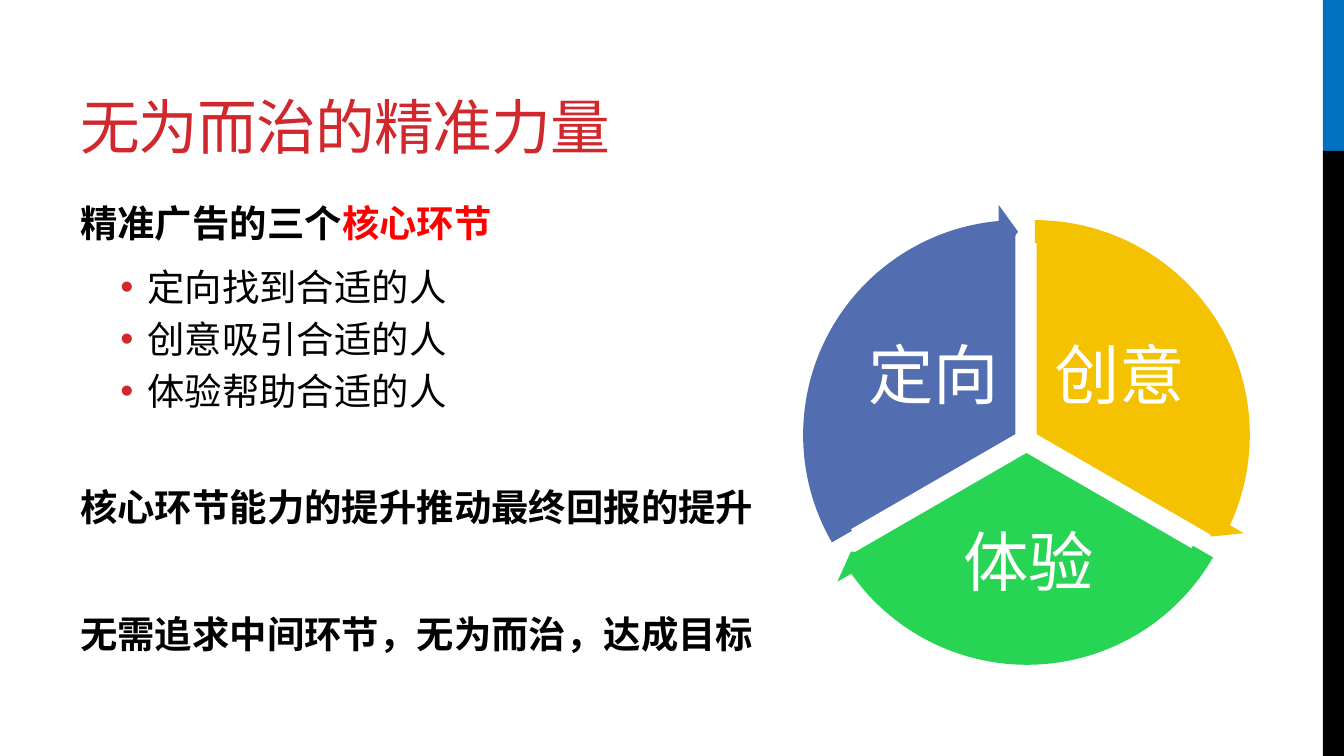
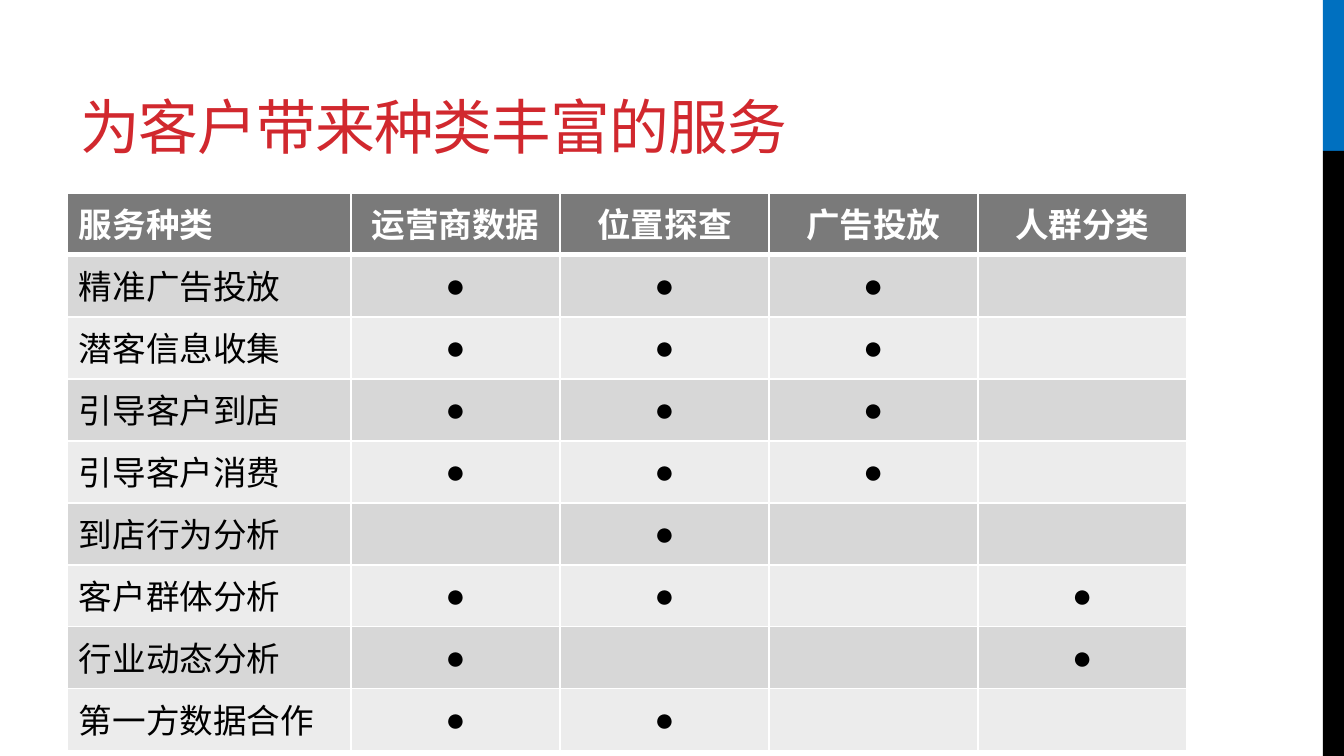
import lxml.etree
import pptx
import pptx.dml.color
import pptx.enum.shapes
import pptx.enum.text
import pptx.oxml.ns
import pptx.util

PX = 914400 / 134.4
SLIDE_SIZE = (1344, 756)
COLORS = {
    "blue": "0070C0", "black": "000000", "white": "FFFFFF", "title": "D1282E",
    "red": "FF0000", "yellow": "F5C201", "green": "28D453", "indigo": "526DB0",
    "header": "7A7A7A", "odd": "D7D7D7", "even": "ECECEC",
}
SHAPES = pptx.enum.shapes.MSO_SHAPE
ANCHOR = pptx.enum.text.MSO_ANCHOR
ALIGN = pptx.enum.text.PP_ALIGN

# Shared by both slides
BANDS = [((1323, 0, 21, 151), "blue"), ((1323, 151, 21, 605), "black")]
TITLE_BOX = (67, 17, 851, 151)
TITLE_FONT = {"name": "Montserrat", "size": 32, "color": "title"}

# Slide 1
CORE_TITLE = "无为而治的精准力量"
BODY_BOX = (67, 194, 1119, 482)
BODY_FONT = {"name": "Arial", "size": 20, "color": "black"}
HEADING = {"space_before": 2, "space_after": 6}
STATEMENT = {"space_before": 38, "space_after": 6}
BULLET = {"space_before": 4, "space_after": 0, "level": 1}
BODY = [
    (HEADING, [("精准广告的三个", "black"), ("核心环节", "red")]),
    (BULLET, [("定向找到合适的人", "black")]),
    (BULLET, [("创意吸引合适的人", "black")]),
    (BULLET, [("体验帮助合适的人", "black")]),
    (STATEMENT, [("核心环节能力的提升推动最终回报的提升", "black")]),
    (STATEMENT, [("无需追求中间环节，无为而治，达成目标", "black")]),
]
PIE_SIZE, ARROW_SIZE = 411, 462
LABEL_FONT = {"name": "Arial", "size": 35, "color": "white"}
# label, color, pie corner, pie angles, arrow tip and tail angles, label box
SECTORS = [
    ("创意", "yellow", (829, 230), (162, 18), (14.72, 161.99), (1047, 317, 146, 122)),
    ("体验", "green", (821, 245), (18, 90), (86.72, 18), (919, 511, 220, 108)),
    ("定向", "indigo", (812, 230), (90, 162), (158.73, 90), (861, 317, 146, 122)),
]

# Slide 2
SERVICE_TITLE = "为客户带来种类丰富的服务"
TABLE_CORNER = (67, 193)
COLUMN_WIDTHS = (284, 209, 209, 209, 209)
ROW_HEIGHT = 62
HEADERS = ("服务种类", "运营商数据", "位置探查", "广告投放", "人群分类")
# service, columns that carry a dot
SERVICES = [
    ("精准广告投放", (1, 2, 3)),
    ("潜客信息收集", (1, 2, 3)),
    ("引导客户到店", (1, 2, 3)),
    ("引导客户消费", (1, 2, 3)),
    ("到店行为分析", (2,)),
    ("客户群体分析", (1, 2, 4)),
    ("行业动态分析", (1, 4)),
    ("第一方数据合作", (1, 2)),
]


def px(*lengths):
    return [pptx.util.Emu(round(length * PX)) for length in lengths]


def rgb(name):
    return pptx.dml.color.RGBColor.from_string(COLORS[name])


def set_all(target, values):
    for name, value in values.items():
        setattr(target, name, value)


def margins(horizontal, vertical):
    across, down = px(horizontal, vertical)
    return {"margin_left": across, "margin_right": across,
            "margin_top": down, "margin_bottom": down}


def add_xml(parent, tag, **attributes):
    return lxml.etree.SubElement(parent, pptx.oxml.ns.qn(tag), attributes)


def add_run(paragraph, text, name, size, color, bold=False):
    run = paragraph.add_run()
    run.text = text
    set_all(run.font, {"name": name, "size": pptx.util.Pt(size), "bold": bold})
    run.font.color.rgb = rgb(color)
    return run


def add_text_frame(slide, box, anchor, **extra):
    frame = slide.shapes.add_textbox(*px(*box)).text_frame
    set_all(frame, {"word_wrap": True, "vertical_anchor": anchor, **extra})
    return frame


def add_filled_shape(slide, kind, box, color, adjustments=(), outline=None):
    shape = slide.shapes.add_shape(kind, *px(*box))
    shape.shadow.inherit = False
    shape.fill.solid()
    shape.fill.fore_color.rgb = rgb(color)
    for index, value in enumerate(adjustments):
        shape.adjustments[index] = value
    if outline:
        shape.line.color.rgb = rgb(outline)
        shape.line.width = pptx.util.Pt(2.25)
    else:
        shape.line.fill.background()


def add_slide(presentation, title):
    """Add a blank slide with the side bands and the title."""
    slide = presentation.slides.add_slide(presentation.slide_layouts[6])
    for box, color in BANDS:
        add_filled_shape(slide, SHAPES.RECTANGLE, box, color)
    frame = add_text_frame(slide, TITLE_BOX, ANCHOR.BOTTOM)
    run = add_run(frame.paragraphs[0], title, **TITLE_FONT)
    run.font._element.set("spc", "-55")
    return slide


def add_bullet(paragraph):
    properties = paragraph._p.get_or_add_pPr()
    properties.set("marL", "457200")
    properties.set("indent", "-182880")
    add_xml(add_xml(properties, "a:buClr"), "a:srgbClr", val=COLORS["title"])
    add_xml(properties, "a:buFont", typeface="Arial")
    add_xml(properties, "a:buChar", char="•")


def add_body(slide):
    frame = add_text_frame(slide, BODY_BOX, ANCHOR.TOP)
    for index, (style, runs) in enumerate(BODY):
        paragraph = frame.add_paragraph() if index else frame.paragraphs[0]
        is_bullet = "level" in style
        set_all(paragraph, {
            "line_spacing": pptx.util.Pt(24),
            "space_before": pptx.util.Pt(style["space_before"]),
            "space_after": pptx.util.Pt(style["space_after"]),
            "level": style.get("level", 0),
        })
        if is_bullet:
            add_bullet(paragraph)
        for text, color in runs:
            add_run(paragraph, text, **{**BODY_FONT, "color": color}, bold=not is_bullet)


def add_cycle(slide):
    for label, color, (left, top), angles, arrow_angles, label_box in SECTORS:
        add_filled_shape(slide, SHAPES.PIE, (left, top, PIE_SIZE, PIE_SIZE),
                         color, angles, "white")
        frame = add_text_frame(slide, label_box, ANCHOR.MIDDLE, **margins(7, 7))
        paragraph = frame.paragraphs[0]
        set_all(paragraph, {"alignment": ALIGN.CENTER, "line_spacing": 0.9})
        add_run(paragraph, label, **LABEL_FONT)
    for label, color, (left, top), angles, arrow_angles, label_box in SECTORS:
        add_filled_shape(slide, SHAPES.CIRCULAR_ARROW,
                         (left - 25, top - 26, ARROW_SIZE, ARROW_SIZE),
                         color, (0.05, 3.28, *arrow_angles, 0.06))


def set_borders(cell, widths):
    properties = cell._tc.get_or_add_tcPr()
    for side, width in widths.items():
        line = add_xml(properties, f"a:ln{side}", w=str(pptx.util.Pt(width)))
        add_xml(add_xml(line, "a:solidFill"), "a:srgbClr", val=COLORS["white"])


def add_service_table(slide):
    rows = [HEADERS] + [
        (service, *("●" if column in dots else "" for column in range(1, len(HEADERS))))
        for service, dots in SERVICES
    ]
    size = (sum(COLUMN_WIDTHS), ROW_HEIGHT * len(rows))
    table = slide.shapes.add_table(
        len(rows), len(HEADERS), *px(*TABLE_CORNER, *size)).table
    for column, width in zip(table.columns, px(*COLUMN_WIDTHS)):
        column.width = width
    for row_index, texts in enumerate(rows):
        is_header = row_index == 0
        fill = "header" if is_header else ("even", "odd")[row_index % 2]
        for column_index, text in enumerate(texts):
            cell = table.cell(row_index, column_index)
            set_borders(cell, {"L": 1, "R": 1, "T": 3 if row_index == 1 else 1,
                               "B": 3 if is_header else 1})
            cell.fill.solid()
            cell.fill.fore_color.rgb = rgb(fill)
            is_mark = column_index and not is_header
            set_all(cell, {"vertical_anchor": ANCHOR.MIDDLE if is_mark else ANCHOR.TOP,
                           **margins(12, 6)})
            paragraph = cell.text_frame.paragraphs[0]
            paragraph.alignment = ALIGN.CENTER if column_index else ALIGN.LEFT
            if text:
                add_run(paragraph, text, "Arial", 18,
                        "white" if is_header else "black", is_header)


def main():
    presentation = pptx.Presentation()
    presentation.slide_width, presentation.slide_height = px(*SLIDE_SIZE)
    core_slide = add_slide(presentation, CORE_TITLE)
    add_body(core_slide)
    add_cycle(core_slide)
    add_service_table(add_slide(presentation, SERVICE_TITLE))
    presentation.save("out.pptx")


if __name__ == "__main__":
    main()
